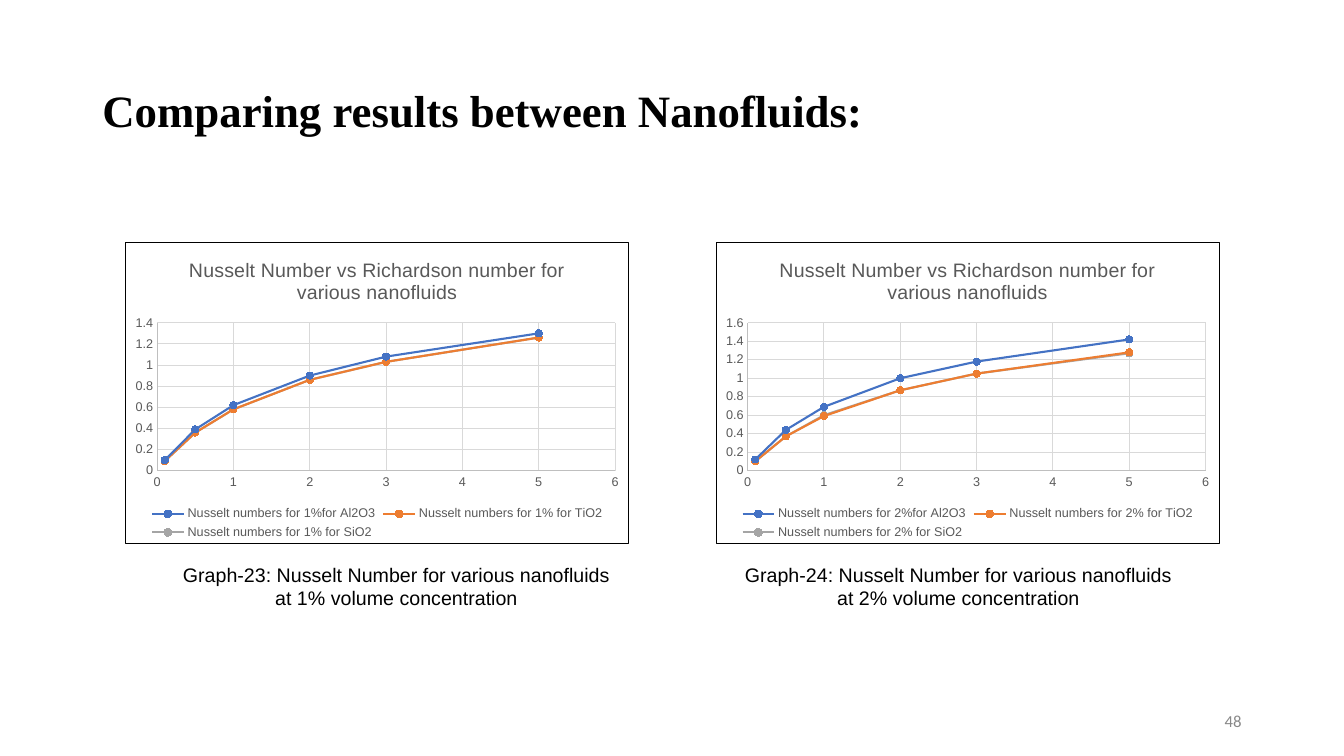
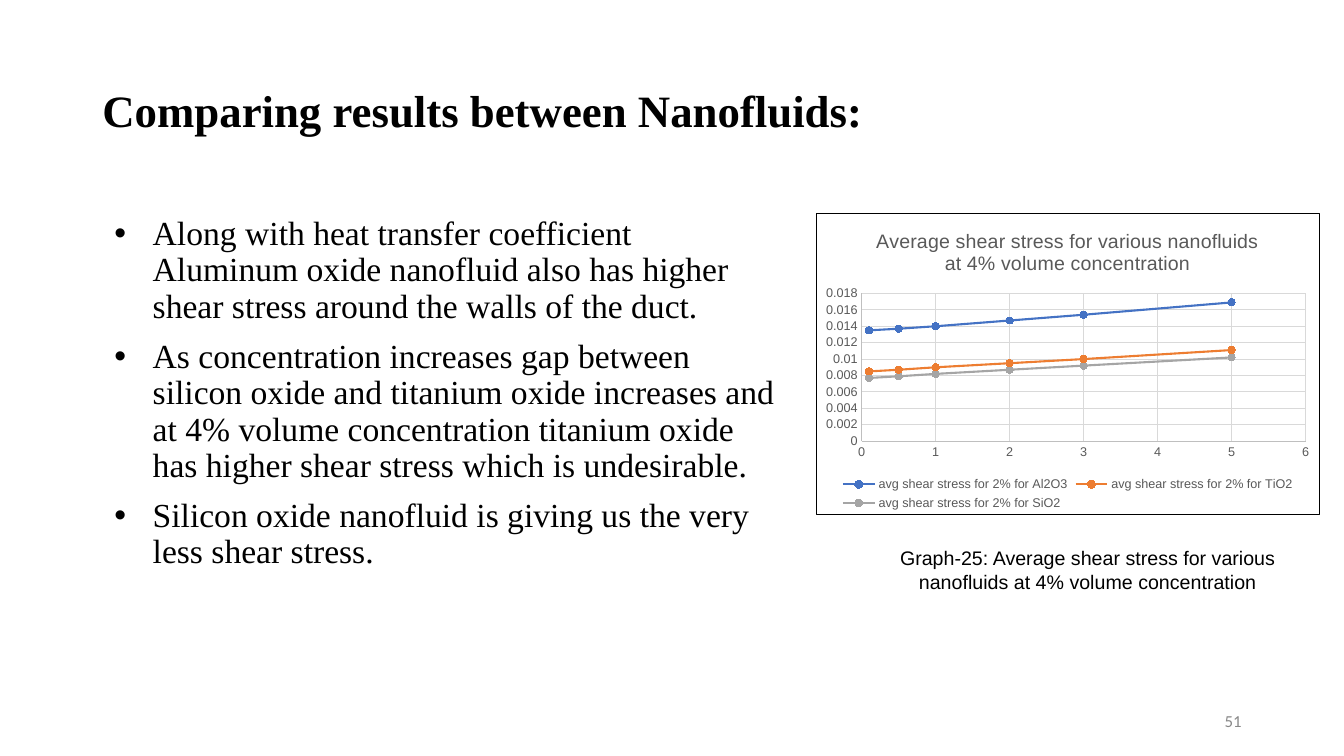
from lxml.etree import SubElement as Sub
from pptx import Presentation
from pptx.chart.data import XyChartData as XyData
from pptx.dml.color import RGBColor as Rgb
from pptx.enum.chart import XL_CHART_TYPE as Kind
from pptx.enum.chart import XL_LEGEND_POSITION as Spot
from pptx.enum.chart import XL_MARKER_STYLE as Mark
from pptx.enum.chart import XL_TICK_MARK as Tick
from pptx.enum.text import MSO_ANCHOR as Anchor
from pptx.enum.text import PP_ALIGN as Align
from pptx.oxml import parse_xml
from pptx.oxml.ns import nsdecls, qn
from pptx.util import Inches, Pt

HUES = {
    "ink": "000000", "page": "888888", "label": "595959",
    "axis": "BFBFBF", "grid": "D9D9D9",
    "Al2O3": "4472C4", "TiO2": "ED7D31", "SiO2": "A5A5A5",
}
SERIF, SANS, PLAIN = "Times New Roman", "Arial", "Calibri"
COLS, ROWS = 160, 90
RICH = (0.1, 0.5, 1, 2, 3, 5)
HEAD = "Comparing results between Nanofluids:"
NUSSELT = "Nusselt Number vs Richardson number for various nanofluids"

PAIR = [
    (14.9, 19.6, 23, 1, {
        "Al2O3": (0.1, 0.39, 0.62, 0.9, 1.08, 1.3),
        "TiO2": (0.09, 0.36, 0.58, 0.86, 1.03, 1.26),
        "SiO2": (0.09, 0.36, 0.58, 0.86, 1.03, 1.26),
    }),
    (85.2, 86.5, 24, 2, {
        "Al2O3": (0.12, 0.44, 0.69, 1, 1.18, 1.42),
        "TiO2": (0.1, 0.37, 0.59, 0.87, 1.05, 1.28),
        "SiO2": (0.1, 0.37, 0.6, 0.87, 1.05, 1.27),
    }),
]
SHEAR = {
    "Al2O3": (0.0135, 0.0137, 0.014, 0.0147, 0.0154, 0.0169),
    "TiO2": (0.0085, 0.0087, 0.009, 0.0095, 0.01, 0.0111),
    "SiO2": (0.0077, 0.0079, 0.0082, 0.0087, 0.0092, 0.0102),
}
POINTS = [
    "Along with heat transfer coefficient Aluminum oxide nanofluid also has "
    "higher shear stress around the walls of the duct.",
    "As concentration increases gap between silicon oxide and titanium oxide "
    "increases and at 4% volume concentration titanium oxide has higher shear "
    "stress which is undesirable.",
    "Silicon oxide nanofluid is giving us the very less shear stress.",
]


def hue(name):
    return Rgb.from_string(HUES[name])


def style(font, size, face=SANS, color="ink", bold=False):
    font.size, font.name, font.bold = Pt(size), face, bold
    font.color.rgb = hue(color)


def stroke(line, color, width):
    line.color.rgb = hue(color)
    line.width = Pt(width)


def dot(para):
    props = para._p.get_or_add_pPr()
    props.set("marL", str(Inches(0.5)))
    props.set("indent", str(Inches(-0.38)))
    Sub(Sub(props, qn("a:buClr")), qn("a:srgbClr")).set("val", HUES["ink"])
    Sub(props, qn("a:buFont")).set("typeface", SANS)
    Sub(props, qn("a:buChar")).set("char", "•")


def write(frame, text, align=Align.LEFT, lead=1.0, gap=0, bullet=False, **font):
    lines = [text] if isinstance(text, str) else text
    for num, line in enumerate(lines):
        para = frame.add_paragraph() if num else frame.paragraphs[0]
        if bullet:
            dot(para)
        para.alignment, para.line_spacing = align, lead
        if num:
            para.space_before = Pt(gap)
        run = para.add_run()
        run.text = line
        style(run.font, **font)


class Deck:
    def __init__(self):
        self.show = Presentation()
        self.show.slide_width = Inches(13.33)
        self.show.slide_height = Inches(7.5)
        self.slide = None

    def area(self, left, top, width, height):
        col = self.show.slide_width / COLS
        row = self.show.slide_height / ROWS
        return [round(n) for n in (left * col, top * row, width * col, height * row)]

    def text(self, spot, text, anchor=Anchor.TOP, **form):
        frame = self.slide.shapes.add_textbox(*self.area(*spot)).text_frame
        frame.word_wrap = True
        frame.vertical_anchor = anchor
        write(frame, text, **form)

    def page(self, num):
        self.slide = self.show.slides.add_slide(self.show.slide_layouts[6])
        self.text((11, 4.8, 138, 17.4), HEAD, Anchor.MIDDLE,
                  lead=0.9, size=32, face=SERIF, bold=True)
        self.text((113, 83.4, 36, 4.8), str(num), Anchor.MIDDLE,
                  align=Align.RIGHT, size=12, face=PLAIN, color="page")

    def body(self, lines):
        self.text((11, 25.2, 82.8, 63), lines, lead=0.9, gap=10,
                  bullet=True, size=24, face=SERIF)

    def note(self, left, top, text):
        self.text((left, top, 55.2, 10), text, align=Align.CENTER, size=14)

    def chart(self, left, top, title, names, sets):
        data = XyData()
        for fluid, vals in sets.items():
            row = data.add_series(names + fluid)
            for x, y in zip(RICH, vals):
                row.add_data_point(x, y)
        chart = self.slide.shapes.add_chart(
            Kind.XY_SCATTER_SMOOTH, *self.area(left, top, 60, 36), data).chart
        style(chart.font, 10)
        chart.has_title = True
        write(chart.chart_title.text_frame, title, align=Align.CENTER,
              size=14, color="label")
        chart.chart_title.include_in_layout = False
        chart.has_legend = True
        chart.legend.position = Spot.BOTTOM
        chart.legend.include_in_layout = False
        style(chart.legend.font, 9, color="label")
        for axis in (chart.category_axis, chart.value_axis):
            axis.has_major_gridlines = True
            axis.major_tick_mark = axis.minor_tick_mark = Tick.NONE
            stroke(axis.major_gridlines.format.line, "grid", 0.75)
            stroke(axis.format.line, "axis", 0.75)
            style(axis.tick_labels.font, 9, color="label")
        plot = chart.plots[0]
        plot.vary_by_categories = False
        for fluid, row in zip(sets, plot.series):
            row.smooth = True
            stroke(row.format.line, fluid, 1.5)
            row.marker.style, row.marker.size = Mark.CIRCLE, 5
            row.marker.format.fill.solid()
            row.marker.format.fill.fore_color.rgb = hue(fluid)
            stroke(row.marker.format.line, fluid, 0.75)
        self.frame(chart)

    def frame(self, chart):
        edge = parse_xml(
            f'<c:spPr {nsdecls("c", "a")}><a:noFill/><a:ln w="{Pt(0.75)}">'
            f'<a:solidFill><a:srgbClr val="{HUES["ink"]}"/></a:solidFill>'
            '</a:ln></c:spPr>')
        chart._chartSpace.find(qn("c:chart")).addnext(edge)


def main():
    deck = Deck()
    deck.page(48)
    for left, side, num, rate, sets in PAIR:
        names = {f: f"Nusselt numbers for {rate}%" for f in sets}
        deck.chart(left, 28.8, NUSSELT, Names(names), sets)
        deck.note(side, 66.4, f"Graph-{num}: Nusselt Number for various "
                  f"nanofluids at {rate}% volume concentration")
    deck.page(51)
    deck.body(POINTS)
    shear = "Average shear stress for various nanofluids at 4% volume concentration"
    deck.chart(97.1, 25.3, shear, "avg shear stress for 2% for ", SHEAR)
    deck.note(101.9, 64.4, f"Graph-25: {shear}")
    deck.show.save("out.pptx")


class Names:
    def __init__(self, stems):
        self.stems = stems

    def __add__(self, fluid):
        return self.stems[fluid] + ("for " if fluid == "Al2O3" else " for ") + fluid


if __name__ == "__main__":
    main()
